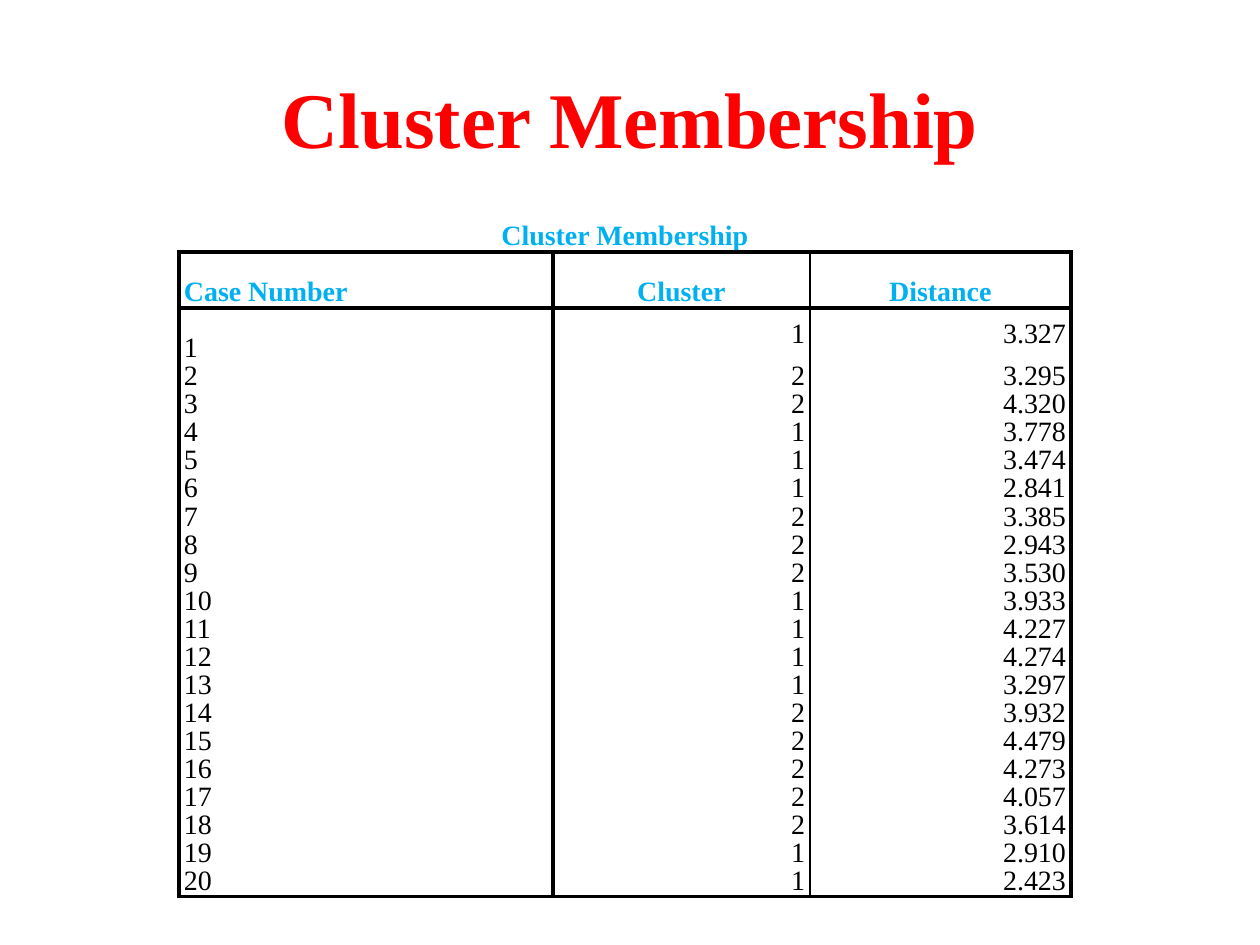
from lxml import etree
from pptx import Presentation, util as u
from pptx.dml.color import RGBColor
from pptx.enum import text
from pptx.oxml.ns import qn

SCALE = 914400 / 126
RED = RGBColor(0xFF, 0, 0)
BLUE = RGBColor(0, 0xB0, 0xF0)
BLACK = RGBColor(0, 0, 0)
WHITE = RGBColor(0xFF, 0xFF, 0xFF)
FONT = "Times New Roman"
THICK, THIN = 2.25, 1

LEFT, MID, RIGHT = (text.PP_ALIGN.LEFT, text.PP_ALIGN.CENTER, text.PP_ALIGN.RIGHT)
LOW, CORE = text.MSO_ANCHOR.BOTTOM, text.MSO_ANCHOR.MIDDLE
HEAD = {"size": u.Pt(16), "bold": True, "color": BLUE}
BODY = {"size": u.Pt(16), "bold": False, "color": BLACK}

COLS = [374, 257, 261]
LINE = 28
NAMES = ["Case Number", "Cluster", "Distance"]
GROUPS = "12211122211112222211"
DISTS = """3.327 3.295 4.320 3.778 3.474 2.841 3.385 2.943 3.530 3.933
4.227 4.274 3.297 3.932 4.479 4.273 4.057 3.614 2.910 2.423""".split()


def px(n):
    return u.Emu(round(n * SCALE))


def write(para, words, align, look):
    para.alignment = align
    run = para.add_run()
    run.text = words
    run.font.name = FONT
    for key, value in look.items():
        if key == "color":
            run.font.color.rgb = value
        else:
            setattr(run.font, key, value)


def add_title(slide, words):
    box = slide.shapes.add_textbox(px(63), px(38), px(1134), px(157))
    frame = box.text_frame
    frame.word_wrap = True
    frame.vertical_anchor = CORE
    write(frame.paragraphs[0], words, MID, {"size": u.Pt(45), "bold": True, "color": RED})


def set_edges(cell, edges):
    """Draw the named sides with a width in points; clear the others."""
    props = cell._tc.get_or_add_tcPr()
    for side in "LRTB":
        line = etree.SubElement(props, qn("a:ln" + side))
        if side in edges:
            line.set("w", str(u.Pt(edges[side])))
            fill = etree.SubElement(line, qn("a:solidFill"))
            etree.SubElement(fill, qn("a:srgbClr")).set("val", str(BLACK))
        else:
            etree.SubElement(line, qn("a:noFill"))


def fill_cell(cell, words, align, anchor, look, edges):
    set_edges(cell, edges)
    cell.fill.solid()
    cell.fill.fore_color.rgb = WHITE
    form = {"margin_left": px(5), "margin_right": px(5), "margin_top": 0,
            "margin_bottom": 0, "vertical_anchor": anchor}
    for key, value in form.items():
        setattr(cell, key, value)
    para = cell.text_frame.paragraphs[0]
    para.line_spacing = u.Pt(16)
    write(para, words, align, look)


def add_grid(slide, rows):
    # The header and the first case are two lines tall
    highs = [LINE, 2 * LINE, 2 * LINE] + [LINE] * (len(rows) - 2)
    grid = slide.shapes.add_table(len(highs), len(COLS), px(179), px(224),
                                  px(sum(COLS)), px(sum(highs))).table
    grid.first_row = grid.horz_banding = False
    for col, wide in zip(grid.columns, COLS):
        col.width = px(wide)
    for row, high in zip(grid.rows, highs):
        row.height = px(high)

    # Caption across all columns
    grid.cell(0, 0).merge(grid.cell(0, len(COLS) - 1))
    fill_cell(grid.cell(0, 0), "Cluster Membership", MID, CORE, HEAD, {"B": THICK})
    for c in range(1, len(COLS)):
        set_edges(grid.cell(0, c), {"B": THICK})

    # Header, then one row per case
    sides = [{"L": THICK, "R": THICK}, {"L": THICK, "R": THIN}, {"L": THIN, "R": THICK}]
    for r, row in enumerate(rows, 1):
        is_head = r == 1
        ends = {"T": THICK} if r <= 2 else {}
        if is_head or r == len(rows):
            ends["B"] = THICK
        for c, words in enumerate(row):
            align = LEFT if c == 0 else MID if is_head else RIGHT
            anchor = LOW if is_head or c == 0 else CORE
            fill_cell(grid.cell(r, c), words, align, anchor,
                      HEAD if is_head else BODY, {**sides[c], **ends})


def main():
    deck = Presentation()
    deck.slide_width, deck.slide_height = px(1260), px(945)
    slide = deck.slides.add_slide(deck.slide_layouts[6])
    add_title(slide, "Cluster Membership")
    cases = [(str(n), g, d) for n, (g, d) in enumerate(zip(GROUPS, DISTS), 1)]
    add_grid(slide, [NAMES] + cases)
    deck.save("out.pptx")


if __name__ == "__main__":
    main()
